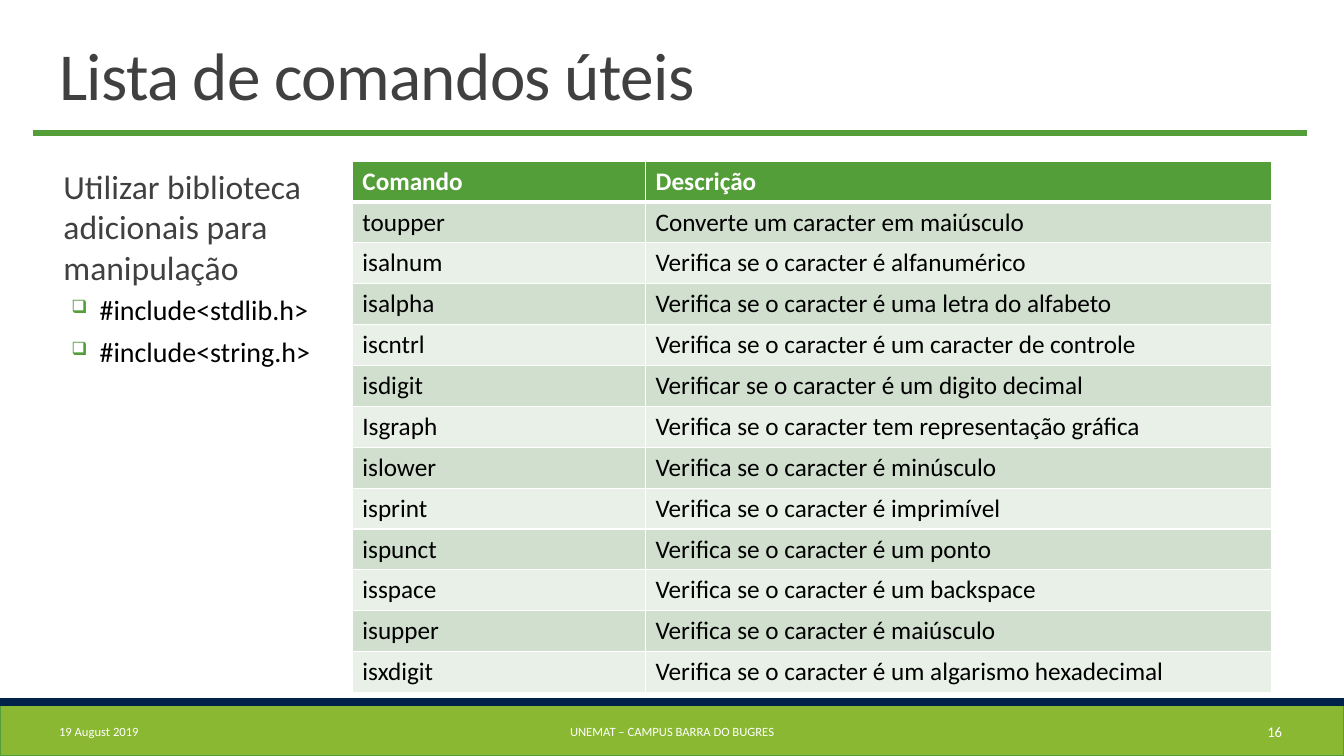
import dataclasses

import lxml.etree
import pptx
import pptx.dml.color
import pptx.enum.shapes
import pptx.enum.text
import pptx.oxml
import pptx.oxml.ns
import pptx.util

Cm = pptx.util.Cm
Pt = pptx.util.Pt
qn = pptx.oxml.ns.qn
ALIGN = pptx.enum.text.PP_ALIGN
ANCHOR = pptx.enum.text.MSO_ANCHOR


@dataclasses.dataclass(frozen=True)
class Theme:
    """Colours, font and type sizes of the slide."""
    font: str = "Calibri"
    green: str = "549E39"
    lime: str = "8AB833"
    navy: str = "00214A"
    grey: str = "404040"
    black: str = "000000"
    white: str = "FFFFFF"
    bands: tuple = ("D1DFCE", "E9F0E8")
    title: float = 48
    lead: float = 24
    item: float = 20
    cell: float = 18
    footer: float = 9
    number: float = 10.5


THEME = Theme()
INCLUDES = ["#include<stdlib.h>", "#include<string.h>"]
COMMANDS = [
    ("Comando", "Descrição"),
    ("toupper", "Converte um caracter em maiúsculo"),
    ("isalnum", "Verifica se o caracter é alfanumérico"),
    ("isalpha", "Verifica se o caracter é uma letra do alfabeto"),
    ("iscntrl", "Verifica se o caracter é um caracter de controle"),
    ("isdigit", "Verificar se o caracter é um digito decimal"),
    ("Isgraph", "Verifica se o caracter tem representação gráfica"),
    ("islower", "Verifica se o caracter é minúsculo"),
    ("isprint", "Verifica se o caracter é imprimível"),
    ("ispunct", "Verifica se o caracter é um ponto"),
    ("isspace", "Verifica se o caracter é um backspace"),
    ("isupper", "Verifica se o caracter é maiúsculo"),
    ("isxdigit", "Verifica se o caracter é um algarismo hexadecimal"),
]


def rgb(color):
    """Return a colour object for a hex string."""
    return pptx.dml.color.RGBColor.from_string(color)


def assign(obj, values):
    """Set attributes of an object from a dict."""
    for name, value in values.items():
        setattr(obj, name, value)


def add_run(p, text, size, color, bold=False):
    """Add a formatted run to a paragraph."""
    r = p.add_run()
    r.text = text
    assign(r.font, {"name": THEME.font, "size": Pt(size), "bold": bold})
    r.font.color.rgb = rgb(color)
    return r


def add_bar(slide, top, height, fill, line):
    """Add a bar across the full slide width."""
    sp = slide.shapes.add_shape(pptx.enum.shapes.MSO_SHAPE.RECTANGLE,
                                0, Cm(top), Cm(33.87), Cm(height))
    sp.shadow.inherit = False
    sp.fill.solid()
    sp.fill.fore_color.rgb = rgb(fill)
    sp.line.color.rgb = rgb(line)
    sp.line.width = Pt(1.25)


def add_rule(slide, left, right, y):
    """Add the horizontal rule under the title."""
    line = slide.shapes.add_connector(pptx.enum.shapes.MSO_CONNECTOR.STRAIGHT,
                                      Cm(left), Cm(y), Cm(right), Cm(y))
    line.line.color.rgb = rgb(THEME.green)
    line.line.width = Pt(4.5)
    lxml.etree.SubElement(line._element.spPr, qn("a:effectLst"))


def add_box(slide, left, top, width, height, **frame):
    """Add a wrapping text box and return its text frame."""
    tf = slide.shapes.add_textbox(Cm(left), Cm(top), Cm(width), Cm(height)).text_frame
    assign(tf, {"word_wrap": True, **frame})
    return tf


def add_title(slide, text):
    """Add the slide title."""
    tf = add_box(slide, 1.24, 0.79, 27.66, 2.21, vertical_anchor=ANCHOR.BOTTOM)
    p = tf.paragraphs[0]
    p.line_spacing = 0.85
    r = add_run(p, text, THEME.title, THEME.grey)
    r.font._element.set("spc", "-50")


def set_indent(p, margin, indent):
    """Set left margin and first-line indent, and return the properties."""
    props = p._p.get_or_add_pPr()
    props.set("marL", str(Cm(margin)))
    props.set("indent", str(Cm(indent)))
    return props


def add_bullet(props, char, color, percent):
    """Give paragraph properties a coloured bullet."""
    clr = lxml.etree.SubElement(props, qn("a:buClr"))
    lxml.etree.SubElement(clr, qn("a:srgbClr"), val=color)
    lxml.etree.SubElement(props, qn("a:buSzPct"), val=str(percent * 1000))
    lxml.etree.SubElement(props, qn("a:buChar"), char=char)


def add_body(slide, lead, items):
    """Add the lead paragraph and its bulleted items."""
    tf = add_box(slide, 1.24, 4.06, 7.62, 12.88, margin_left=0, margin_right=0)
    p = tf.paragraphs[0]
    assign(p, {"space_before": Pt(12), "space_after": Pt(2)})
    set_indent(p, 0.36, 0)
    add_run(p, lead, THEME.lead, THEME.grey)
    for item in items:
        p = tf.add_paragraph()
        assign(p, {"level": 1, "space_before": Pt(2), "space_after": Pt(4)})
        add_bullet(set_indent(p, 1.27, -0.71), "❑", THEME.green, 65)
        add_run(p, item, THEME.item, THEME.black)


def add_footer(slide, left, width, text, size, align):
    """Add one text of the footer."""
    tf = add_box(slide, left, 17.93, width, 1.02, vertical_anchor=ANCHOR.MIDDLE)
    p = tf.paragraphs[0]
    p.alignment = align
    add_run(p, text, size, THEME.white)


def set_borders(cell, widths):
    """Draw white cell borders with the given widths in points."""
    props = cell._tc.get_or_add_tcPr()
    for i, (side, width) in enumerate(widths.items()):
        ln = lxml.etree.Element(qn(f"a:ln{side}"), w=str(Pt(width)))
        fill = lxml.etree.SubElement(ln, qn("a:solidFill"))
        lxml.etree.SubElement(fill, qn("a:srgbClr"), val=THEME.white)
        props.insert(i, ln)


def add_commands(slide, rows, widths, row_height):
    """Add the table of commands with banded rows."""
    table = slide.shapes.add_table(len(rows), len(widths), Cm(8.88), Cm(4.06),
                                   Cm(sum(widths)), Cm(row_height * len(rows))).table
    for column, width in zip(table.columns, widths):
        column.width = Cm(width)
    for i, texts in enumerate(rows):
        table.rows[i].height = Cm(row_height)
        head = i == 0
        fill = THEME.green if head else THEME.bands[(i - 1) % 2]
        color = THEME.white if head else THEME.black
        borders = {"L": 1, "R": 1, "T": 3 if i == 1 else 1, "B": 3 if head else 1}
        for j, text in enumerate(texts):
            cell = table.cell(i, j)
            cell.fill.solid()
            cell.fill.fore_color.rgb = rgb(fill)
            set_borders(cell, borders)
            add_run(cell.text_frame.paragraphs[0], text, THEME.cell, color, head)


def main():
    """Build the slide and save it."""
    prs = pptx.Presentation()
    assign(prs, {"slide_width": Cm(33.87), "slide_height": Cm(19.05)})
    s = prs.slides.add_slide(prs.slide_layouts[6])
    add_bar(s, 17.78, 1.27, THEME.lime, THEME.green)
    add_bar(s, 17.6, 0.18, THEME.navy, THEME.navy)
    add_rule(s, 0.84, 32.94, 3.35)
    add_title(s, "Lista de comandos úteis")
    add_body(s, "Utilizar biblioteca adicionais para manipulação", INCLUDES)
    add_footer(s, 1.24, 6.86, "19 August 2019", THEME.footer, ALIGN.LEFT)
    add_footer(s, 10.24, 13.39, "UNEMAT – CAMPUS BARRA DO BUGRES", THEME.footer, ALIGN.CENTER)
    add_footer(s, 28.93, 3.63, "16", THEME.number, ALIGN.RIGHT)
    add_commands(s, COMMANDS, (7.39, 15.77), 1.03)
    prs.save("out.pptx")


main()
